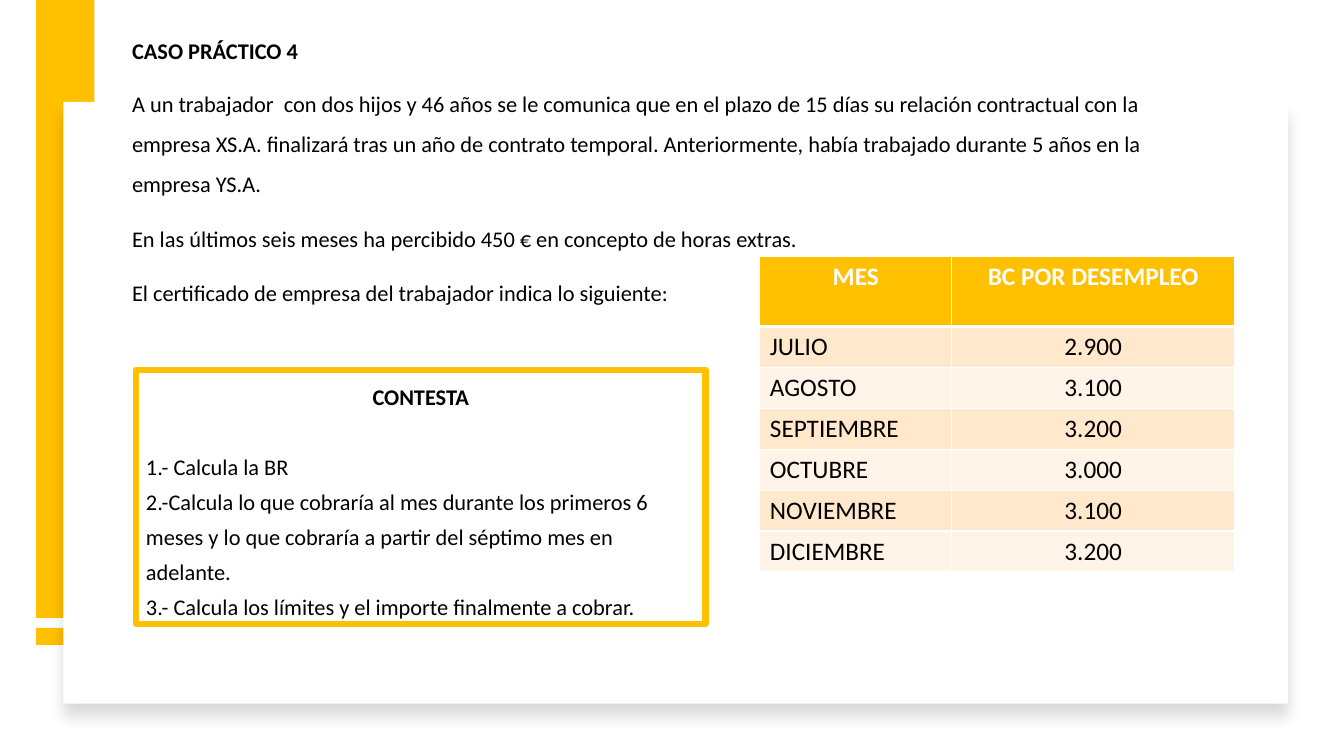
import dataclasses

import lxml.etree
import pptx
import pptx.dml.color
import pptx.enum.shapes
import pptx.enum.text
import pptx.oxml.ns
import pptx.util

Cm = pptx.util.Cm
Pt = pptx.util.Pt
qn = pptx.oxml.ns.qn
ALIGN = pptx.enum.text.PP_ALIGN
ANCHOR = pptx.enum.text.MSO_ANCHOR


@dataclasses.dataclass(frozen=True)
class Theme:
    font: str = "Calibri"
    gold: str = "FFC000"
    white: str = "FFFFFF"
    black: str = "000000"
    bands: tuple = ("FFE8CC", "FFF4E7")
    text_size: int = 16
    table_size: int = 18


THEME = Theme()

STATEMENT = [
    "A un trabajador  con dos hijos y 46 años se le comunica que en el plazo de 15 días su relación "
    "contractual con la empresa XS.A. finalizará tras un año de contrato temporal. Anteriormente, "
    "había trabajado durante 5 años en la empresa YS.A.",
    "En las últimos seis meses ha percibido 450 € en concepto de horas extras.",
    "El certificado de empresa del trabajador indica lo siguiente:",
]
QUESTIONS = [
    "1.- Calcula la BR",
    "2.-Calcula lo que cobraría al mes durante los primeros 6 meses y lo que cobraría a partir del "
    "séptimo mes en adelante.",
    "3.- Calcula los límites y el importe finalmente a cobrar.",
]
CONTRIBUTIONS = [
    ("MES", "BC POR DESEMPLEO"),
    ("JULIO", "2.900"),
    ("AGOSTO", "3.100"),
    ("SEPTIEMBRE", "3.200"),
    ("OCTUBRE", "3.000"),
    ("NOVIEMBRE", "3.100"),
    ("DICIEMBRE", "3.200"),
]


def rgb(color):
    return pptx.dml.color.RGBColor.from_string(color)


def apply(target, formats):
    for name, value in formats.items():
        setattr(target, name, value)


def cm_box(left, top, width, height):
    return Cm(left), Cm(top), Cm(width), Cm(height)


def write(paragraph, text, size=THEME.text_size, color=THEME.black, bold=False, **formats):
    paragraph.text = text
    apply(paragraph, {"alignment": ALIGN.LEFT, **formats})
    apply(paragraph.font, {"name": THEME.font, "size": Pt(size), "bold": bold})
    paragraph.font.color.rgb = rgb(color)


def next_paragraph(frame, index):
    return frame.add_paragraph() if index else frame.paragraphs[0]


def set_frame(frame, anchor, **formats):
    apply(frame, {
        "word_wrap": True,
        "auto_size": pptx.enum.text.MSO_AUTO_SIZE.NONE,
        "vertical_anchor": anchor,
        **formats,
    })


def add_block(slide, box, fill):
    block = slide.shapes.add_shape(pptx.enum.shapes.MSO_SHAPE.RECTANGLE, *cm_box(*box))
    block.shadow.inherit = False
    block.line.fill.background()
    if fill:
        block.fill.solid()
        block.fill.fore_color.rgb = rgb(fill)
    else:
        block.fill.background()
    return block


def add_backdrop(slide, left, top, width, height):
    bar_width = 1.47
    bar_left = left - 0.69
    add_block(slide, (bar_left, top + 13.25, bar_width, 0.43), THEME.gold)
    add_block(slide, (bar_left, 0, bar_width, top + 13), THEME.gold)
    card = add_block(slide, (left, top, width, height), THEME.white)
    effects = card._element.spPr.find(qn("a:effectLst"))
    shadow = lxml.etree.SubElement(
        effects, qn("a:outerShdw"), blurRad=str(Pt(11)), dist=str(Pt(10)),
        dir="5400000", algn="t", rotWithShape="0")
    color = lxml.etree.SubElement(shadow, qn("a:srgbClr"), val=THEME.black)
    lxml.etree.SubElement(color, qn("a:alpha"), val="15000")


def add_statement(slide, left, top, width, height):
    heading_height = 0.75
    gap = 0.28
    no_insets = dict.fromkeys(("margin_left", "margin_top", "margin_right", "margin_bottom"), 0)

    title = slide.shapes.title
    places = cm_box(left, top, width, heading_height)
    apply(title, dict(zip(("left", "top", "width", "height"), places)))
    set_frame(title.text_frame, ANCHOR.MIDDLE, **no_insets)
    write(title.text_frame.paragraphs[0], "CASO PRÁCTICO 4", bold=True)

    body_top = heading_height + gap
    body = slide.shapes.add_textbox(*cm_box(left, top + body_top, width, height - body_top))
    set_frame(body.text_frame, ANCHOR.TOP, **no_insets)
    for index, text in enumerate(STATEMENT):
        write(next_paragraph(body.text_frame, index), text,
              line_spacing=1.5, space_before=Pt(10 if index else 0))


def set_borders(cell, bottom):
    properties = cell._tc.get_or_add_tcPr()
    widths = {"a:lnL": 1, "a:lnR": 1, "a:lnT": 1, "a:lnB": bottom}
    for position, (tag, width) in enumerate(widths.items()):
        border = lxml.etree.Element(qn(tag), w=str(Pt(width)))
        fill = lxml.etree.SubElement(border, qn("a:solidFill"))
        lxml.etree.SubElement(fill, qn("a:srgbClr"), val=THEME.white)
        properties.insert(position, border)


def add_contributions(slide, left, top, width, height):
    header_height = 1.78
    month_width = 4.83
    month_height = (height - header_height) / (len(CONTRIBUTIONS) - 1)
    table = slide.shapes.add_table(
        len(CONTRIBUTIONS), 2, *cm_box(left, top, width, height)).table
    table.columns[0].width = Cm(month_width)
    table.columns[1].width = Cm(width - month_width)
    for row, texts in enumerate(CONTRIBUTIONS):
        header = row == 0
        table.rows[row].height = Cm(header_height if header else month_height)
        for column, text in enumerate(texts):
            cell = table.cell(row, column)
            cell.fill.solid()
            cell.fill.fore_color.rgb = rgb(THEME.gold if header else THEME.bands[(row - 1) % 2])
            set_borders(cell, bottom=3 if header else 1)
            write(cell.text_frame.paragraphs[0], text, THEME.table_size,
                  THEME.white if header else THEME.black, header,
                  alignment=ALIGN.CENTER if header or column else ALIGN.LEFT)


def add_questions(slide, left, top, width, height):
    questions = add_block(slide, (left, top, width, height), None)
    questions.line.color.rgb = rgb(THEME.gold)
    questions.line.width = Pt(4.5)
    frame = questions.text_frame
    set_frame(frame, ANCHOR.TOP)
    write(frame.paragraphs[0], "CONTESTA", bold=True,
          alignment=ALIGN.CENTER, line_spacing=1.3, space_after=Pt(25.4))
    for text in QUESTIONS:
        write(frame.add_paragraph(), text, line_spacing=1.3)


def main():
    presentation = pptx.Presentation()
    apply(presentation, {"slide_width": Cm(33.87), "slide_height": Cm(19.05)})
    slide = presentation.slides.add_slide(presentation.slide_layouts[5])
    add_backdrop(slide, 1.6, 2.57, 30.86, 15.16)
    add_statement(slide, 3.33, 0.9, 26.85, 7)
    add_contributions(slide, 19.15, 6.45, 11.97, 7.96)
    add_questions(slide, 3.43, 9.32, 14.35, 6.4)
    presentation.save("out.pptx")


if __name__ == "__main__":
    main()
